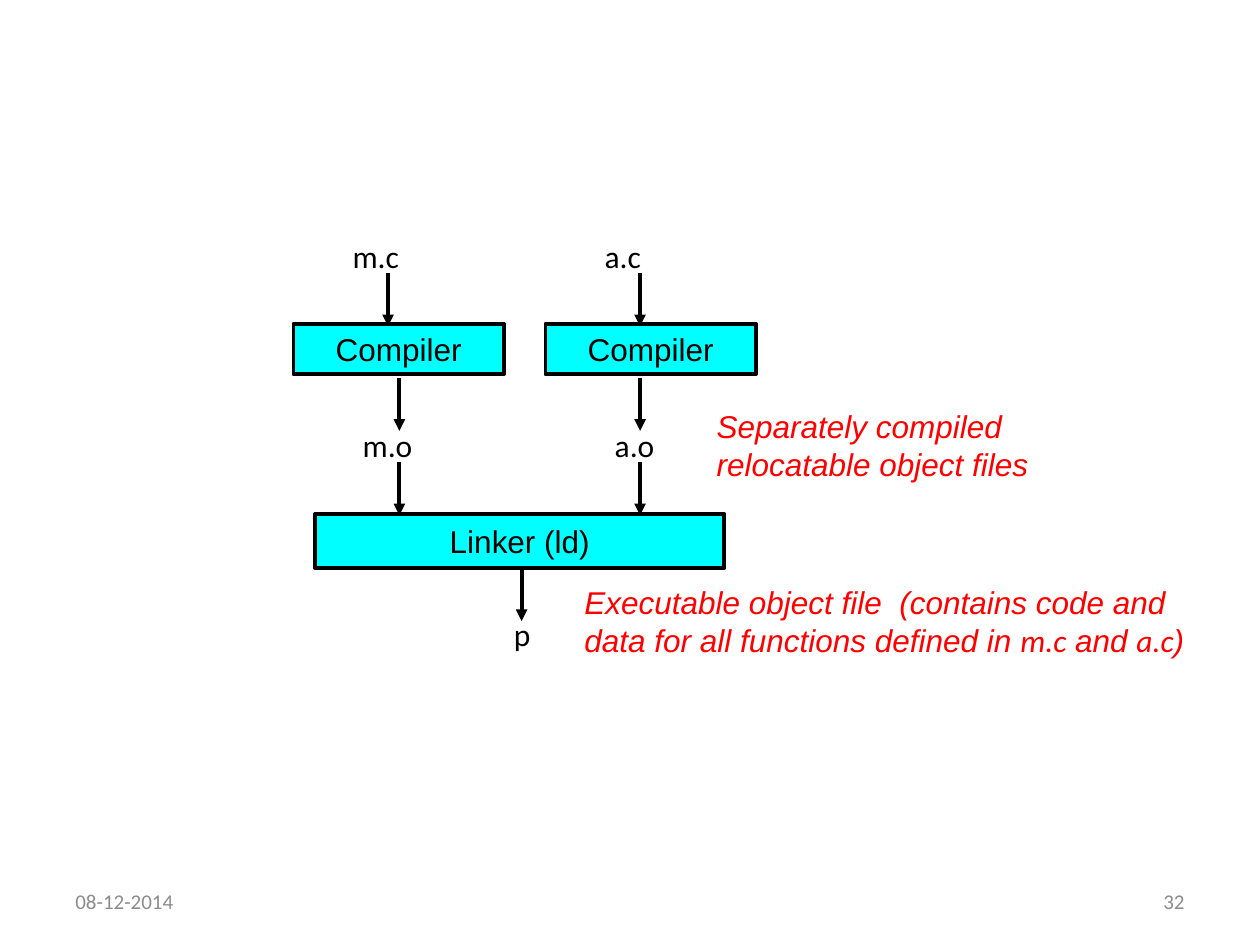
from lxml import etree
from pptx import Presentation
from pptx.dml.color import RGBColor
from pptx.enum import shapes as sh, text as tx
from pptx.oxml.ns import qn
from pptx.util import Inches, Pt

BLACK, CYAN, RED, GRAY = "000000", "00FFFF", "FF0000", "8C8C8C"
rgb = RGBColor.from_string

deck = Presentation()
deck.slide_width, deck.slide_height = Inches(10), Inches(7.5)
slide = deck.slides.add_slide(deck.slide_layouts[6])


def style(para, size=18, face="Calibri", color=BLACK, italic=None):
    font = para.font
    font.size, font.name, font.italic = Pt(size), face, italic
    font.color.rgb = rgb(color)


def label(words, left, top, width, height=0.4, **look):
    box = slide.shapes.add_textbox(*map(Inches, (left, top, width, height)))
    box.text_frame.word_wrap = True
    para = box.text_frame.paragraphs[0]
    para.text = words
    style(para, **look)
    return box.text_frame


# Tool boxes
for name, left, top, width, height in [
    ("Compiler", 2.33, 2.57, 1.67, 0.4),
    ("Compiler", 4.33, 2.57, 1.67, 0.4),
    ("Linker (ld)", 2.5, 4.08, 3.25, 0.43),
]:
    tool = slide.shapes.add_shape(
        sh.MSO_SHAPE.RECTANGLE, *map(Inches, (left, top, width, height)))
    tool.shadow.inherit = False
    tool.fill.solid()
    tool.fill.fore_color.rgb = rgb(CYAN)
    tool.line.color.rgb = rgb(BLACK)
    tool.line.width = Pt(2.25)
    para = tool.text_frame.paragraphs[0]
    para.text = name
    para.alignment = tx.PP_ALIGN.CENTER
    style(para, face="Arial")

# File names
for stem, left in [("m", 2.7), ("a", 4.7)]:
    label(stem + ".c", left, 1.83, 0.65)
    label(stem + ".o", left + 0.08, 3.33, 0.65)
label("p", 3.98, 4.83, 0.35)

# Arrows
for x, top in [(3.08, 2.17), (3.17, 3), (3.17, 3.67),
               (5.08, 2.17), (5.08, 3), (5.08, 3.67), (4.14, 4.51)]:
    arrow = slide.shapes.add_connector(
        sh.MSO_CONNECTOR.STRAIGHT, *map(Inches, (x, top, x, top + 0.42)))
    arrow.line.color.rgb = rgb(BLACK)
    arrow.line.width = Pt(2.25)
    etree.SubElement(arrow.line._get_or_add_ln(), qn("a:tailEnd"), type="triangle")
    etree.SubElement(arrow._element.spPr, qn("a:effectLst"))

# Red notes
note = dict(face="Arial", color=RED, italic=True)
label("Separately compiled relocatable object files", 5.59, 3.18, 3.26, 0.7, **note)
frame = label("Executable object file  (contains code and data for all "
              "functions defined in ", 4.54, 4.58, 4.97, 1, **note)
for words, face in [("m.c", "Calibri"), (" and ", "Arial"),
                    ("a.c", "Calibri"), (")", "Arial")]:
    run = frame.paragraphs[0].add_run()
    run.text = words
    run.font.name = face

# Date and slide number
for words, left, side in [("08-12-2014", 0.5, tx.PP_ALIGN.LEFT),
                          ("32", 7.17, tx.PP_ALIGN.RIGHT)]:
    frame = label(words, left, 6.95, 2.33, size=12, color=GRAY)
    frame.vertical_anchor = tx.MSO_ANCHOR.MIDDLE
    frame.paragraphs[0].alignment = side

deck.save("out.pptx")
